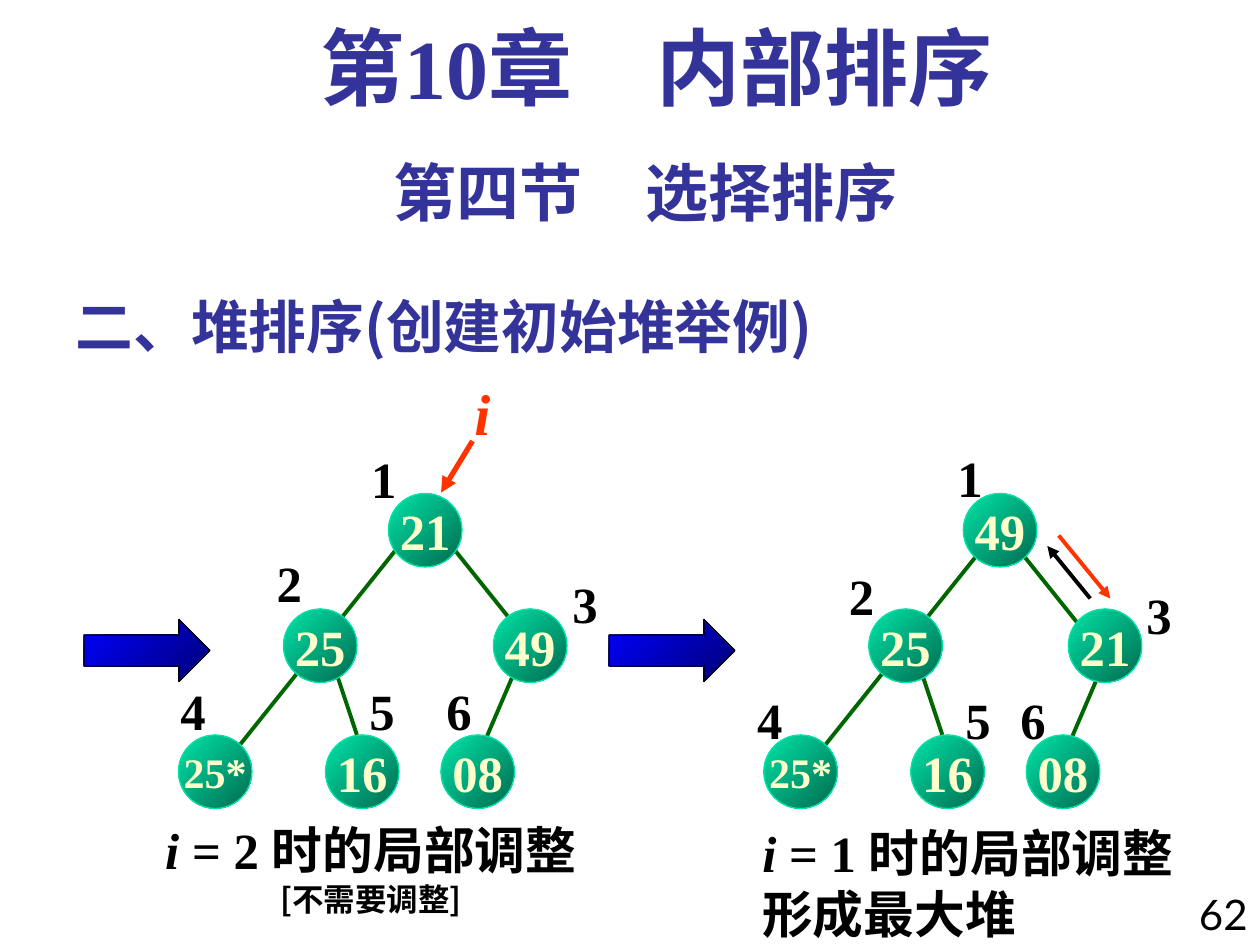
import dataclasses

import lxml.etree
import pptx
import pptx.dml.color
import pptx.enum.shapes
import pptx.enum.text
import pptx.oxml.ns
import pptx.util

Pt = pptx.util.Pt
ALIGN = pptx.enum.text.PP_ALIGN
ANCHOR = pptx.enum.text.MSO_ANCHOR
SHAPE = pptx.enum.shapes.MSO_SHAPE


@dataclasses.dataclass(frozen=True)
class Theme:
    serif: str = "Times New Roman"
    sans: str = "Lato"
    chinese: str = "Noto Sans CJK SC"
    heading: str = "333399"
    ink: str = "000000"
    accent: str = "FF3300"
    edge: str = "006600"
    node_text: str = "FFFFCC"
    node_fill: tuple = ("00E4A8", "006A4E")
    arrow_fill: tuple = ("0000FF", "000076")
    chapter_size: int = 48
    section_size: int = 36
    title_size: int = 33
    body_size: int = 29
    small_size: int = 24
    note_size: int = 18


THEME = Theme()
NODE_SIZE = 42

# Offsets from the top left corner of a tree.
LEVEL_TOPS = (0, 66, 66, 138, 138, 138)
COMMON_EDGES = (
    ((192, 102), (174, 144)),
    ((90, 102), (102, 138)),
    ((126, 30), (30, 150)),
)


def rgb(color):
    return pptx.dml.color.RGBColor.from_string(color)


def format_paragraph(paragraph, size, color=THEME.ink, font_name=THEME.serif,
                     align=ALIGN.LEFT, bold=True):
    paragraph.alignment = align
    font = paragraph.font
    font.size = Pt(size)
    font.bold = bold
    font.color.rgb = rgb(color)
    font.name = font_name
    properties = paragraph._p.pPr.find(pptx.oxml.ns.qn("a:defRPr"))
    east_asian = lxml.etree.SubElement(properties, pptx.oxml.ns.qn("a:ea"))
    east_asian.set("typeface", THEME.chinese)


def add_text(shapes, box, text, size, wrap=False, **style):
    shape = shapes.add_textbox(*map(Pt, box))
    shape.text_frame.word_wrap = wrap
    paragraph = shape.text_frame.paragraphs[0]
    paragraph.text = text
    format_paragraph(paragraph, size, **style)
    return paragraph


def add_line(shapes, start, end, color, width=2.25, arrow=False):
    line = shapes.add_connector(pptx.enum.shapes.MSO_CONNECTOR.STRAIGHT,
                                *map(Pt, (*start, *end)))
    line.line.color.rgb = rgb(color)
    line.line.width = Pt(width)
    if arrow:
        tail = lxml.etree.SubElement(line.line._get_or_add_ln(),
                                     pptx.oxml.ns.qn("a:tailEnd"))
        tail.set("type", "triangle")
    lxml.etree.SubElement(line._element.spPr, pptx.oxml.ns.qn("a:effectLst"))


def add_gradient_shape(shapes, kind, box, colors, line_color):
    shape = shapes.add_shape(kind, *map(Pt, box))
    shape.shadow.inherit = False
    shape.fill.gradient()
    shape.fill.gradient_angle = 315
    for stop, color, position in zip(shape.fill.gradient_stops, colors, (0, 1)):
        stop.color.rgb = rgb(color)
        stop.position = position
    shape.line.color.rgb = rgb(line_color)
    shape.line.width = Pt(0.75)
    return shape


def add_node(shapes, left, top, value):
    node = add_gradient_shape(shapes, SHAPE.OVAL, (left, top, NODE_SIZE, NODE_SIZE),
                              THEME.node_fill, THEME.node_fill[0])
    frame = node.text_frame
    frame.word_wrap = False
    frame.vertical_anchor = ANCHOR.MIDDLE
    frame.paragraphs[0].text = value
    size = THEME.small_size if len(value) > 2 else THEME.body_size
    format_paragraph(frame.paragraphs[0], size, THEME.node_text, align=ALIGN.CENTER)


def add_tree(slide, left, top, values, node_lefts, right_edge_left, label_offsets):
    """Draw a six-node heap, numbered by level, and return its group's shapes."""
    shapes = slide.shapes.add_group_shape().shapes
    right_edge = ((right_edge_left, 30), (right_edge_left + 48, 90))
    for edge in (*COMMON_EDGES, right_edge):
        start, end = ((left + x, top + y) for x, y in edge)
        add_line(shapes, start, end, THEME.edge)
    for value, x, y in zip(values, node_lefts, LEVEL_TOPS):
        add_node(shapes, left + x, top + y, value)
    for number, (x, y) in enumerate(label_offsets, start=1):
        add_text(shapes, (left + x, top + y, 29, 42), str(number), THEME.body_size)
    return shapes


def add_index_pointer(shapes, left, top):
    paragraph = add_text(shapes, (left + 12, top, 24, 47), "i", THEME.title_size,
                         color=THEME.accent)
    paragraph.font.italic = True
    add_line(shapes, (left + 18, top + 39.5), (left, top + 69), THEME.accent, 3, True)


def add_swap_arrows(shapes, left, top):
    add_line(shapes, (left + 24.5, top + 36), (left, top + 6), THEME.ink, arrow=True)
    add_line(shapes, (left + 6.5, top), (left + 36, top + 36), THEME.accent, arrow=True)


def add_step_arrow(slide, left, top):
    add_gradient_shape(slide.shapes, SHAPE.RIGHT_ARROW, (left, top, 72, 35.5),
                       THEME.arrow_fill, THEME.ink)


def add_caption(slide, box, step, note, note_size, align):
    paragraph = add_text(slide.shapes, box, "", THEME.body_size, align=align)
    variable = paragraph.add_run()
    variable.text = "i"
    variable.font.italic = True
    paragraph.add_run().text = f" = {step} 时的局部调整"
    second = paragraph._parent.add_paragraph()
    second.text = note
    format_paragraph(second, note_size, align=align, font_name=THEME.chinese)


def add_headings(slide):
    title = slide.shapes.title
    title.left, title.top, title.width, title.height = map(Pt, (36, 156, 450, 53.5))
    frame = title.text_frame
    frame.text = "二、堆排序(创建初始堆举例)"
    frame.word_wrap = True
    frame.auto_size = pptx.enum.text.MSO_AUTO_SIZE.NONE
    frame.vertical_anchor = ANCHOR.BOTTOM
    format_paragraph(frame.paragraphs[0], THEME.title_size, THEME.heading, THEME.chinese)

    add_text(slide.shapes, (36, 84, 666, 50), "第四节　选择排序", THEME.section_size,
             wrap=True, color=THEME.heading, font_name=THEME.sans, align=ALIGN.CENTER)
    chapter = add_text(slide.shapes, (48, 12, 654, 60), "第10章　内部排序",
                       THEME.chapter_size, wrap=True, color=THEME.heading,
                       align=ALIGN.CENTER)
    chapter.line_spacing = 0.9


def main():
    presentation = pptx.Presentation()
    presentation.slide_width, presentation.slide_height = Pt(720), Pt(540)
    slide = presentation.slides.add_slide(presentation.slide_layouts[5])
    add_headings(slide)
    add_text(slide.shapes, (672, 504, 48, 42), "62", THEME.small_size, wrap=True,
             font_name=THEME.sans, align=ALIGN.RIGHT, bold=False)

    before = add_tree(
        slide, 102, 282, ("21", "25", "49", "25*", "16", "08"),
        (120, 60, 180, 0, 84, 150), 156,
        ((103, -29.5), (49, 30), (218, 42), (-6, 103), (102, 103), (146, 103)))
    add_index_pointer(before, 252, 212.5)
    after = add_tree(
        slide, 436.5, 282, ("49", "25", "21", "25*", "16", "08"),
        (114, 60, 174, 0, 84, 150), 144,
        ((103.5, -30), (41.5, 37), (211.5, 48), (-11, 108), (108, 108), (139.5, 108)))
    add_swap_arrows(after, 598.5, 306)

    for left in (48, 348):
        add_step_arrow(slide, left, 354)
    add_caption(slide, (83.5, 464.5, 257, 63), 2, "[不需要调整]",
                THEME.note_size, ALIGN.CENTER)
    add_caption(slide, (428.5, 466, 257, 77), 1, "形成最大堆",
                THEME.body_size, ALIGN.LEFT)
    presentation.save("out.pptx")


if __name__ == "__main__":
    main()
